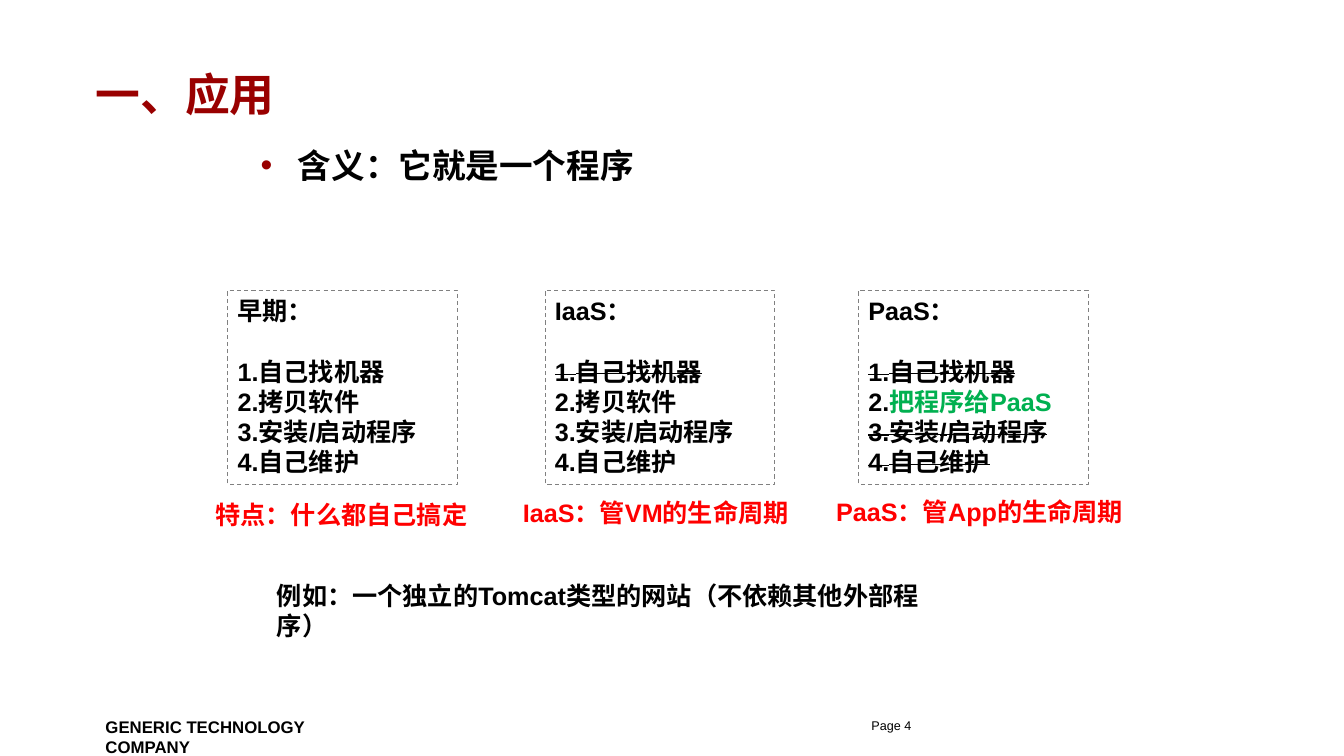
from lxml.etree import SubElement
from pptx import Presentation
from pptx.dml.color import RGBColor
from pptx.enum.dml import MSO_LINE
from pptx.enum.shapes import MSO_SHAPE
from pptx.enum.text import MSO_ANCHOR, PP_ALIGN
from pptx.oxml.ns import qn
from pptx.util import Cm, Pt

BLACK = RGBColor(0x00, 0x00, 0x00)
DARK_RED = RGBColor(0x99, 0x00, 0x00)
RED = RGBColor(0xFF, 0x00, 0x00)
GREEN = RGBColor(0x00, 0xB0, 0x50)
GRAY = RGBColor(0x80, 0x80, 0x80)

TITLE = "一、应用"
MEANING = "含义：它就是一个程序"
EXAMPLE = "例如：一个独立的Tomcat类型的网站（不依赖其他外部程序）"
COMPANY = "GENERIC TECHNOLOGY COMPANY"
PAGE = "Page 4"

STEPS = ["自己找机器", "拷贝软件", "安装/启动程序", "自己维护"]
STAGES = [
    {"heading": "早期：", "left": 5.74, "dropped": (), "replaced": {},
     "caption": "特点：什么都自己搞定", "caption_box": (5.18, 12.47, 6.93)},
    {"heading": "IaaS：", "left": 13.74, "dropped": (1,), "replaced": {},
     "caption": "IaaS：管VM的生命周期", "caption_box": (12.93, 12.4, 7.32)},
    {"heading": "PaaS：", "left": 21.64, "dropped": (1, 3, 4), "replaced": {2: "把程序给PaaS"},
     "caption": "PaaS：管App的生命周期", "caption_box": (20.83, 12.37, 7.85)},
]
CARD_TOP, CARD_WIDTH, CARD_HEIGHT = 7.32, 5.79, 4.88


def add_run(paragraph, text, size=18, color=BLACK, bold=True, font="Arial", struck=False):
    run = paragraph.add_run()
    run.text = text
    run.font.name = font
    run.font.size = Pt(size)
    run.font.bold = bold
    run.font.color.rgb = color
    if struck:
        run._r.get_or_add_rPr().set("strike", "sngStrike")


def add_text(slide, box, text, **style):
    shape = slide.shapes.add_textbox(*map(Cm, box))
    shape.text_frame.word_wrap = True
    add_run(shape.text_frame.paragraphs[0], text, **style)
    return shape.text_frame


def add_bullet(paragraph, indent, color):
    properties = paragraph._p.get_or_add_pPr()
    properties.set("marL", str(Cm(indent)))
    properties.set("indent", str(-Cm(indent)))
    bullet_color = SubElement(properties, qn("a:buClr"))
    SubElement(bullet_color, qn("a:srgbClr"), val=str(color))
    SubElement(properties, qn("a:buFont"), typeface="Arial")
    SubElement(properties, qn("a:buChar"), char="•")


def add_card(slide, stage):
    card = slide.shapes.add_shape(MSO_SHAPE.RECTANGLE, Cm(stage["left"]), Cm(CARD_TOP),
                                  Cm(CARD_WIDTH), Cm(CARD_HEIGHT))
    card.shadow.inherit = False
    card.fill.background()
    card.line.color.rgb = GRAY
    card.line.width = Pt(0.75)
    card.line.dash_style = MSO_LINE.DASH
    frame = card.text_frame
    frame.word_wrap = True
    frame.vertical_anchor = MSO_ANCHOR.TOP
    heading = frame.paragraphs[0]
    heading.alignment = PP_ALIGN.LEFT
    heading.space_after = Pt(21.7)
    add_run(heading, stage["heading"])
    for number, step in enumerate(STEPS, 1):
        paragraph = frame.add_paragraph()
        paragraph.alignment = PP_ALIGN.LEFT
        if number in stage["replaced"]:
            add_run(paragraph, f"{number}.")
            add_run(paragraph, stage["replaced"][number], color=GREEN)
        else:
            add_run(paragraph, f"{number}.{step}", struck=number in stage["dropped"])


def main():
    presentation = Presentation()
    presentation.slide_width = Cm(33.88)
    presentation.slide_height = Cm(19.05)
    slide = presentation.slides.add_slide(presentation.slide_layouts[6])

    title = add_text(slide, (2.16, 0.76, 30.48, 3.18), TITLE, size=32, color=DARK_RED, font="Karla")
    title.vertical_anchor = MSO_ANCHOR.MIDDLE
    meaning = add_text(slide, (6.32, 3.53, 21.2, 1.32), MEANING, size=24, font="Karla")
    add_bullet(meaning.paragraphs[0], 0.94, DARK_RED)

    for stage in STAGES:
        add_card(slide, stage)
        add_text(slide, (*stage["caption_box"], 1.02), stage["caption"], color=RED)

    add_text(slide, (6.73, 14.5, 17.4, 1.8), EXAMPLE)
    add_text(slide, (2.41, 17.93, 7.72, 0.74), COMPANY, size=12)
    page = add_text(slide, (21.97, 18.08, 3.91, 0.5), PAGE, size=9, bold=False)
    page.margin_left = page.margin_top = page.margin_right = page.margin_bottom = 0

    presentation.save("out.pptx")


if __name__ == "__main__":
    main()
